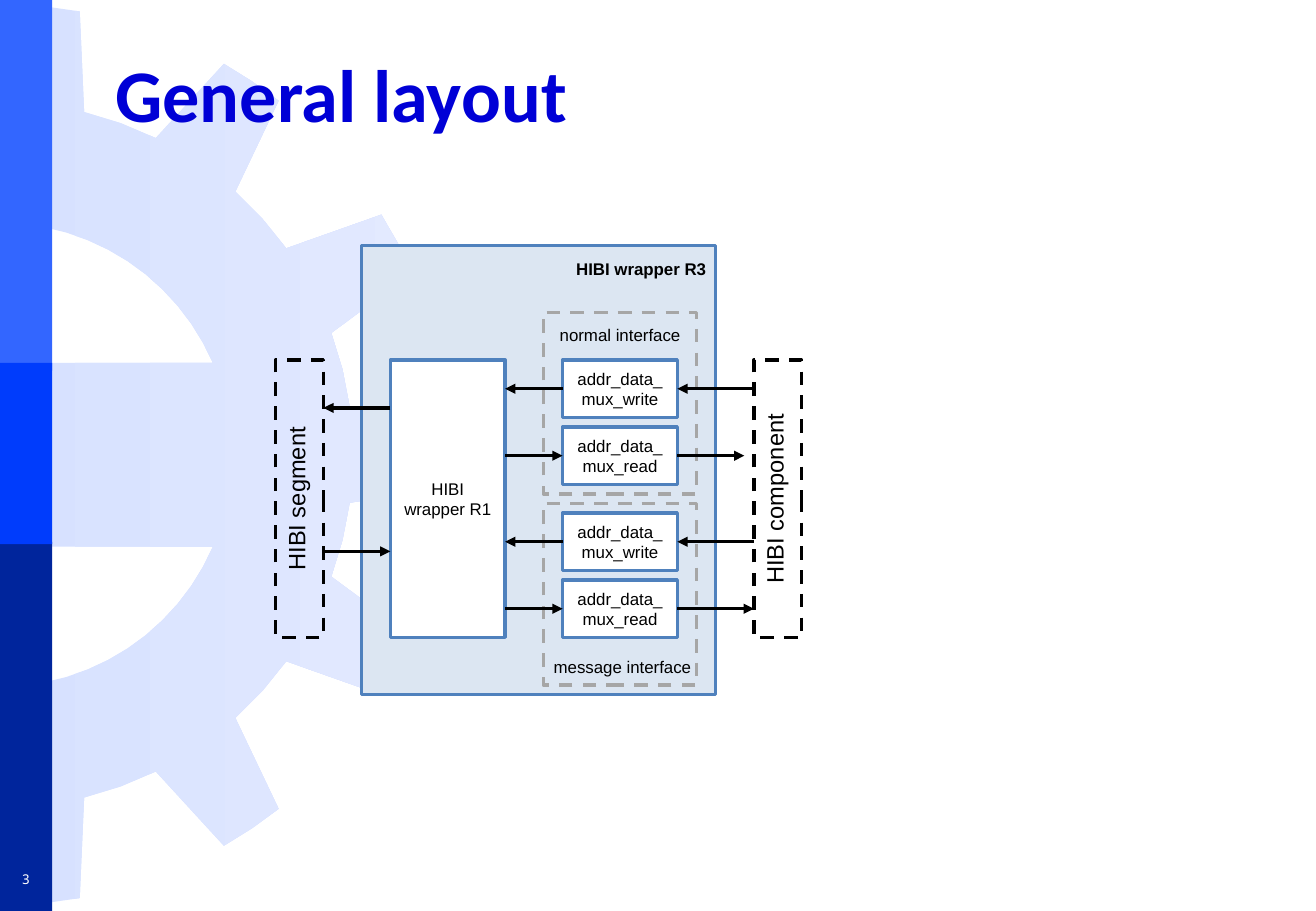
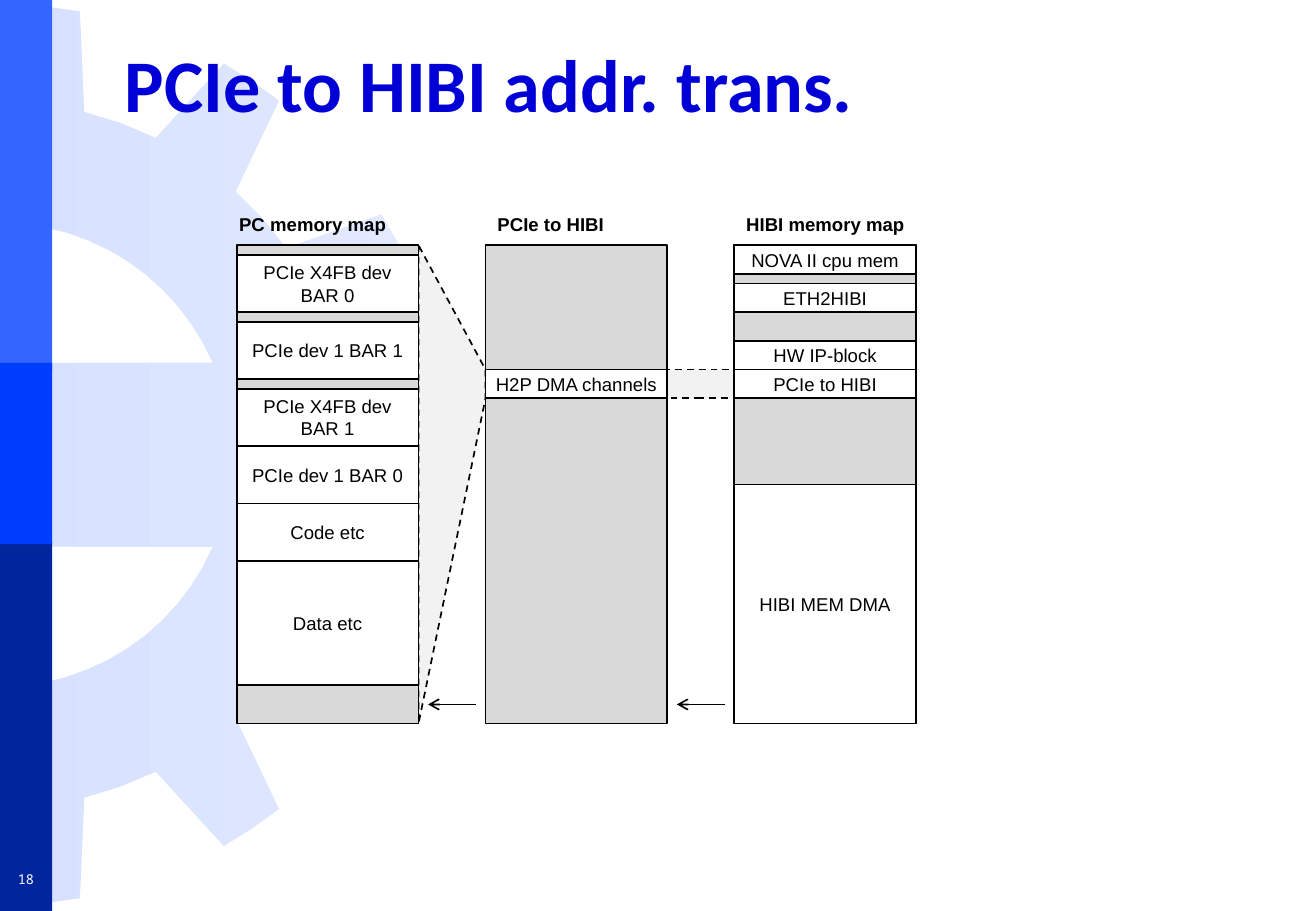
"""Build two slides on the HIBI wrapper layout and PCIe address translation."""
import math
from dataclasses import dataclass

from lxml import etree
from pptx import Presentation
from pptx import util as u
from pptx.dml.color import RGBColor
from pptx.enum import dml, shapes, text
from pptx.oxml.ns import qn


@dataclass(frozen=True)
class Theme:
    title: RGBColor = RGBColor(0x00, 0x00, 0xD6)
    ink: RGBColor = RGBColor(0x00, 0x00, 0x00)
    white: RGBColor = RGBColor(0xFF, 0xFF, 0xFF)
    band_top: RGBColor = RGBColor(0x33, 0x66, 0xFF)
    band_middle: RGBColor = RGBColor(0x00, 0x3C, 0xFC)
    band_bottom: RGBColor = RGBColor(0x00, 0x25, 0x9C)
    gear_left: RGBColor = RGBColor(0xD7, 0xE1, 0xFF)
    gear_right: RGBColor = RGBColor(0xE3, 0xEA, 0xFF)
    frame: RGBColor = RGBColor(0xDC, 0xE6, 0xF2)
    edge: RGBColor = RGBColor(0x4F, 0x81, 0xBD)
    group: RGBColor = RGBColor(0xA6, 0xA6, 0xA6)
    unused: RGBColor = RGBColor(0xD9, 0xD9, 0xD9)
    mapping: RGBColor = RGBColor(0xF2, 0xF2, 0xF2)
    title_font: str = "Calibri"
    body_font: str = "Arial"
    number_font: str = "Noto Sans Mono"
    title_size: int = 44
    bar_size: int = 14
    map_size: int = 11
    block_size: int = 10
    number_size: int = 8


theme = Theme()
CENTER, LEFT, RIGHT = text.PP_ALIGN.CENTER, text.PP_ALIGN.LEFT, text.PP_ALIGN.RIGHT
TOP, MIDDLE = text.MSO_ANCHOR.TOP, text.MSO_ANCHOR.MIDDLE
DASH = dml.MSO_LINE.DASH


def write(box, words, size=theme.block_size, bold=False, colour=theme.ink,
          font=theme.body_font, align=CENTER, anchor=MIDDLE, margin=0.25):
    frame = box.text_frame
    frame.word_wrap = True
    frame.auto_size = text.MSO_AUTO_SIZE.NONE
    frame.vertical_anchor = anchor
    frame.margin_left = frame.margin_right = u.Cm(margin)
    frame.margin_top = frame.margin_bottom = u.Cm(min(margin, 0.13))
    para = frame.paragraphs[0]
    para.alignment = align
    span = para.add_run()
    span.text = words
    span.font.name, span.font.size = font, u.Pt(size)
    span.font.bold, span.font.color.rgb = bold, colour


def draw(page, place, fill=None, line=None, weight=1, dash=None):
    if isinstance(place, tuple):
        shape = page.shapes.add_shape(shapes.MSO_SHAPE.RECTANGLE, *map(u.Cm, place))
    else:
        corners = [(u.Cm(x), u.Cm(y)) for x, y in place]
        outline = page.shapes.build_freeform(*corners[0])
        outline.add_line_segments(corners[1:], close=True)
        shape = outline.convert_to_shape()
    shape.shadow.inherit = False
    if fill is None:
        shape.fill.background()
    else:
        shape.fill.solid()
        shape.fill.fore_color.rgb = fill
    if line is None:
        shape.line.fill.background()
    else:
        shape.line.color.rgb, shape.line.width = line, u.Pt(weight)
        shape.line.dash_style = dash
    return shape


deck = Presentation()
deck.slide_width, deck.slide_height = u.Cm(27.51), u.Cm(19.05)
layout = deck.slide_layouts[5]
band_width = 1.09

pages = []
for title, title_left, title_top, number in (
        ("General layout", 2.16, 0.74, "3"),
        ("PCIe to HIBI addr. trans.", 2.36, 0.53, "18")):
    page = deck.slides.add_slide(layout)
    box = page.shapes.title
    box.left, box.top, box.width, box.height = map(u.Cm, (title_left, title_top, 23.85, 2.39))
    write(box, title, theme.title_size, True, theme.title, theme.title_font, LEFT)
    box = page.shapes.add_textbox(0, u.Cm(18.06), u.Cm(band_width), u.Cm(0.66))
    write(box, number, theme.number_size, colour=theme.white,
          font=theme.number_font, margin=0)
    pages.append(page)
layout_page, map_page = pages

axis, tip_radius, root_radius, hole_radius = 9.51, 9.42, 7.38, 4.85
tooth_pitch, tip_angle, root_angle = 28, 4.2, 7.8
spoke_half = 1.92
tooth = ((-root_angle, root_radius), (-tip_angle, tip_radius), (0, tip_radius),
         (tip_angle, tip_radius), (root_angle, root_radius), (tooth_pitch / 2, root_radius))
rim = [(tooth_pitch * index + angle, radius)
       for index in range(-3, 4) for angle, radius in tooth
       if abs(tooth_pitch * index + angle) <= 90]
spoke_angle = math.degrees(math.asin(spoke_half / hole_radius))
arc_steps = 12
upper_hole = [(90 + (spoke_angle - 90) * step / arc_steps, hole_radius)
              for step in range(arc_steps + 1)] + [(90, spoke_half)]
lower_hole = [(-angle, radius) for angle, radius in reversed(upper_hole)]
gear = draw(layout_page, [(radius * math.cos(math.radians(angle)),
                           axis - radius * math.sin(math.radians(angle)))
                          for angle, radius in rim + upper_hole + lower_hole])
gear.fill.gradient()
gear.fill.gradient_angle = 0
for stop, position, colour in zip(gear.fill.gradient_stops, (0, 1),
                                  (theme.gear_left, theme.gear_right)):
    stop.position, stop.color.rgb = position, colour

decoration = [gear]
for band_top, height, colour in ((0, 7.75, theme.band_top),
                                 (11.33, 7.72, theme.band_bottom),
                                 (7.59, 3.79, theme.band_middle)):
    decoration.append(draw(layout_page, (0, band_top, band_width, height), colour))
for index, shape in enumerate(decoration, start=2):
    layout.shapes.element.insert(index, shape.element)

arrows = []
top = 5.13

frame_left, frame_width, frame_height = 7.56, 7.4, 9.4
core_left, core_top, core_width, core_height = frame_left + 0.6, top + 2.4, 2.4, 5.8
core_right = core_left + core_width
block_left, block_width, block_height, block_gap = core_right + 1.2, 2.4, 1.2, 0.2
block_right = block_left + block_width
group_left, group_width, group_height = block_left - 0.4, 3.2, 3.8
bar_width = 1
segment_right, component_left = frame_left - 0.8, frame_left + 8.2

draw(layout_page, (frame_left, top, frame_width, frame_height), theme.frame, theme.edge, 2)
core = draw(layout_page, (core_left, core_top, core_width, core_height),
            theme.white, theme.edge, 2)
write(core, "HIBI wrapper R1")

normal_top = core_top - 1
message_top = normal_top + group_height + block_gap
for group_top, first_block, read_end in (
        (normal_top, core_top, component_left - 0.2),
        (message_top, message_top + block_gap, component_left)):
    write_top, read_top = first_block, first_block + block_height + block_gap
    for words, y in (("addr_data_mux_write", write_top), ("addr_data_mux_read", read_top)):
        block = draw(layout_page, (block_left, y, block_width, block_height),
                     theme.white, theme.edge, 2)
        write(block, words)
    for start, end, y in ((component_left, block_right, write_top),
                          (block_left, core_right, write_top),
                          (core_right, block_left, read_top),
                          (block_right, read_end, read_top)):
        arrows.append((layout_page, start, end, y + block_height / 2, 2, "triangle"))
    draw(layout_page, (group_left, group_top, group_width, group_height),
         None, theme.group, 2, DASH)

for words, place, bold, align, margin in (
        ("HIBI wrapper R3", (frame_left, top, frame_width, 1), True, RIGHT, 0.2),
        ("normal interface", (group_left, normal_top, group_width, 0.94),
         False, CENTER, 0.05),
        ("message interface", (group_left + 0.05, message_top + 3.03, group_width, 0.76),
         False, CENTER, 0.05)):
    box = layout_page.shapes.add_textbox(*map(u.Cm, place))
    write(box, words, bold=bold, align=align, margin=margin)

turn = (core_height - bar_width) / 2
for words, bar_left in (("HIBI segment", segment_right - bar_width),
                        ("HIBI component", component_left)):
    bar = draw(layout_page, (bar_left - turn, core_top + turn, core_height, bar_width),
               None, theme.ink, 2, DASH)
    bar.rotation = 270
    write(bar, words, theme.bar_size, anchor=TOP)
for start, end, y in ((core_left, segment_right, core_top + 1),
                      (segment_right, core_left, core_top + 4)):
    arrows.append((layout_page, start, end, y, 2, "triangle"))

map_left, column_width, gap, column_height = 4.95, 3.8, 1.4, 10
pitch = column_width + gap
row, tall_row, sliver = 0.6, 1.2, 0.2
window_offset = 2.6
window_top = top + window_offset
window_bottom = window_top + row

funnel_left = map_left + column_width
funnel_right = funnel_left + gap
draw(map_page, [(funnel_left, top), (funnel_left, top + column_height),
                (funnel_right, window_bottom), (funnel_right, window_top)],
     theme.mapping, theme.ink, 1, DASH)
draw(map_page, (funnel_left + pitch, window_top, gap, row),
     theme.mapping, theme.ink, 1, DASH)

columns = (
    ("PC memory map", -0.2, (
        (None, sliver), ("PCIe X4FB dev BAR 0", tall_row),
        (None, sliver), ("PCIe dev 1 BAR 1", tall_row),
        (None, sliver), ("PCIe X4FB dev BAR 1", tall_row),
        ("PCIe dev 1 BAR 0", tall_row), ("Code etc", tall_row), ("Data etc", 2.6))),
    ("PCIe to HIBI", 0, ((None, window_offset), ("H2P DMA channels", row))),
    ("HIBI memory map", 0, (
        ("NOVA II cpu mem", row), (None, sliver), ("ETH2HIBI", row), (None, row),
        ("HW IP-block", row), ("PCIe to HIBI", row), (None, 1.8), ("HIBI MEM DMA", 5))))
for index, (heading, shift, ranges) in enumerate(columns):
    x, y = map_left + index * pitch, top
    box = map_page.shapes.add_textbox(*map(u.Cm, (x + shift, top - 0.8, 4.17, row)))
    write(box, heading, theme.map_size, True, align=LEFT, anchor=TOP)
    draw(map_page, (x, top, column_width, column_height), theme.unused, theme.ink)
    for words, height in ranges:
        if words:
            cell = draw(map_page, (x, y, column_width, height), theme.white, theme.ink)
            write(cell, words, theme.map_size, margin=0.15)
        y += height
    if index:
        arrows.append((map_page, x - 0.2, x - 1.2, top + 9.6, 1, "arrow"))

for page, start, end, y, weight, head in arrows:
    arrow = page.shapes.add_connector(shapes.MSO_CONNECTOR.STRAIGHT,
                                      *map(u.Cm, (start, y, end, y)))
    arrow.line.color.rgb, arrow.line.width = theme.ink, u.Pt(weight)
    properties = arrow.element.spPr
    etree.SubElement(properties.find(qn("a:ln")), qn("a:tailEnd"), type=head)
    etree.SubElement(properties, qn("a:effectLst"))

deck.save("out.pptx")
